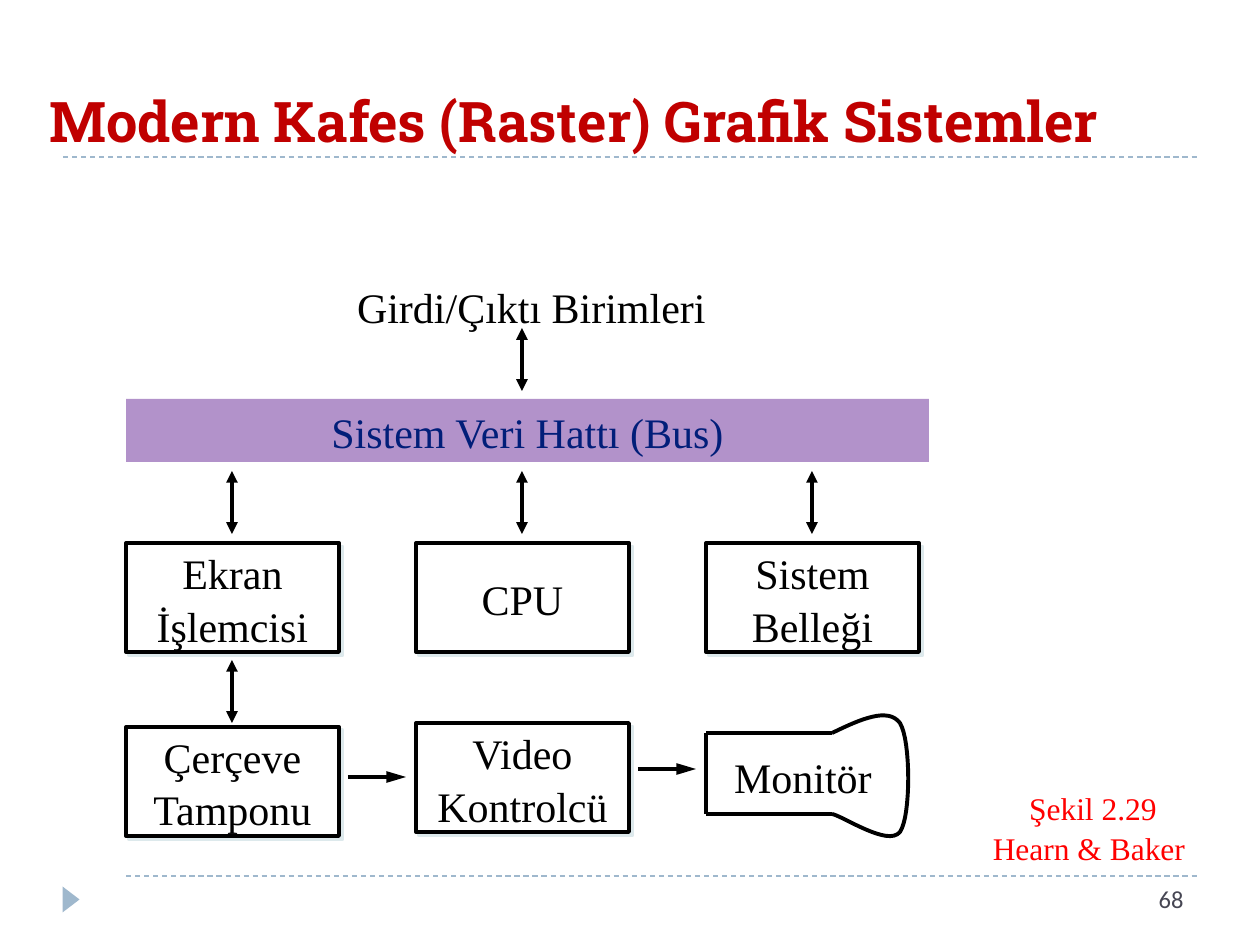
import lxml.etree
import pptx
import pptx.dml.color
import pptx.enum.dml
import pptx.enum.shapes
import pptx.enum.text
import pptx.oxml.ns
import pptx.util

PX = 914400 / 126
SERIF = "Times New Roman"
BLACK, WHITE, RULE = "000000", "FFFFFF", "9FB8CD"
SHAPE = pptx.enum.shapes.MSO_SHAPE
ALIGN = pptx.enum.text.PP_ALIGN
ANCHOR = pptx.enum.text.MSO_ANCHOR

TITLE = "Modern Kafes (Raster) Grafik Sistemler"
BOX_W, BOX_H = 213, 109
COLUMNS = [126 + 290 * i for i in range(3)]
CENTERS = [x + BOX_W // 2 for x in COLUMNS]
BOXES = [  # column, top, text
    (0, 543, "Ekran\nİşlemcisi"),
    (1, 543, "CPU"),
    (2, 543, "Sistem\nBelleği"),
    (0, 727, "Çerçeve\nTamponu"),
    (1, 723, "Video\nKontrolcü"),
]
TWO_WAY = [(1, 328), (0, 471), (1, 471), (2, 471), (0, 660)]  # column, top
ONE_WAY = [(0, 777), (1, 769)]  # column on the left, height on the slide
ARROW_H, ARROW_W, ARROW_GAP = 63, 58, 9
NECK_X, NECK_TOP, NECK_BOTTOM = 832, 733, 814
TUBE = [  # cubic curves of the monitor's screen end
    ((NECK_X, NECK_TOP), (861, 719), (888, 707), (900, 723)),
    ((900, 723), (911, 741), (911, 816), (900, 832)),
    ((900, 832), (888, 847), (843, 816), (NECK_X, NECK_BOTTOM)),
]


def emu(*values):
    return [round(v * PX) for v in values]


def rgb(color):
    return pptx.dml.color.RGBColor.from_string(color)


def sub(parent, tag, **attrs):
    return lxml.etree.SubElement(parent, pptx.oxml.ns.qn(tag), attrs)


def add_shape(s, kind, box, fill, line=None):
    sp = s.shapes.add_shape(kind, *emu(*box))
    sp.shadow.inherit = False
    sp.fill.solid()
    sp.fill.fore_color.rgb = rgb(fill)
    if line:
        sp.line.color.rgb = rgb(line)
        sp.line.width = pptx.util.Pt(2.25)
    else:
        sp.line.fill.background()
    return sp


def add_drop_shadow(sp):
    effects = sp._element.spPr.find(pptx.oxml.ns.qn("a:effectLst"))
    shadow = sub(effects, "a:outerShdw", dist="35560", dir="2700000", algn="ctr", rotWithShape="0")
    sub(shadow, "a:srgbClr", val="DDE9EC")


def set_text(sp, text, size, color, font=SERIF, align=ALIGN.CENTER,
             anchor=ANCHOR.MIDDLE, bold=False, wrap=False, spacing=1.05):
    tf = sp.text_frame
    tf.text = text
    tf.word_wrap = wrap
    tf.vertical_anchor = anchor
    for p in tf.paragraphs:
        p.alignment = align
        p.line_spacing = spacing
        for r in p.runs:
            r.font.size = pptx.util.Pt(size)
            r.font.name = font
            r.font.bold = bold
            r.font.color.rgb = rgb(color)


def add_label(s, box, text, size, color, **style):
    set_text(s.shapes.add_textbox(*emu(*box)), text, size, color, **style)


def add_line(s, start, end, color=BLACK, width=2.25, dashed=False, heads=(), length="med"):
    c = s.shapes.add_connector(pptx.enum.shapes.MSO_CONNECTOR.STRAIGHT, *emu(*start, *end))
    c.line.color.rgb = rgb(color)
    c.line.width = pptx.util.Pt(width)
    if dashed:
        c.line.dash_style = pptx.enum.dml.MSO_LINE.DASH
    for head in heads:
        sub(c.line._get_or_add_ln(), head, type="triangle", w="med", len=length)
    sub(c._element.spPr, "a:effectLst")


def curve_points(curve, steps=16):
    """Points along a cubic Bezier curve, without its start."""
    for i in range(1, steps + 1):
        t = i / steps
        weights = ((1 - t) ** 3, 3 * t * (1 - t) ** 2, 3 * t * t * (1 - t), t ** 3)
        yield tuple(sum(w * p[axis] for w, p in zip(weights, curve)) for axis in (0, 1))


def add_monitor(s):
    builder = s.shapes.build_freeform(*emu(*TUBE[0][0]), scale=1.0)
    builder.add_line_segments([emu(*pt) for curve in TUBE for pt in curve_points(curve)], close=False)
    sp = builder.convert_to_shape()
    sp.shadow.inherit = False
    sp.fill.background()
    sp.line.color.rgb = rgb(BLACK)
    sp.line.width = pptx.util.Pt(2.25)
    left = COLUMNS[2]
    for y in (NECK_TOP, NECK_BOTTOM):
        add_line(s, (NECK_X, y), (left, y))
    add_line(s, (left, NECK_BOTTOM), (left, NECK_TOP))
    add_label(s, (721, 743, 164, 63), "Monitör", 24, BLACK, anchor=ANCHOR.TOP)


def main():
    prs = pptx.Presentation()
    prs.slide_width, prs.slide_height = emu(1260, 945)
    s = prs.slides.add_slide(prs.slide_layouts[6])

    for y in (876, 157):
        add_line(s, (63, y), (1197, y), RULE, 0.75, dashed=True)
    add_shape(s, SHAPE.RECTANGLE, (44, 859, 79, 79), WHITE)
    add_shape(s, SHAPE.ISOSCELES_TRIANGLE, (58, 891, 26, 17), RULE).rotation = 90
    add_label(s, (37, 42, 1183, 157), TITLE, 32, "C00000", font="Roboto Slab",
              align=ALIGN.LEFT, bold=True, wrap=True, spacing=1.0)

    for column, top, text in BOXES:
        sp = add_shape(s, SHAPE.RECTANGLE, (COLUMNS[column], top, BOX_W, BOX_H), WHITE, BLACK)
        add_drop_shadow(sp)
        set_text(sp, text, 24, BLACK)
    add_monitor(s)

    bus = add_shape(s, SHAPE.RECTANGLE, (126, 399, 803, 63), "B292CA")
    set_text(bus, "Sistem Veri Hattı (Bus)", 24, "011E79")
    add_label(s, (343, 273, 377, 64), "Girdi/Çıktı Birimleri", 24, BLACK, anchor=ANCHOR.TOP)

    for column, top in TWO_WAY:
        x = CENTERS[column]
        add_line(s, (x, top + ARROW_H), (x, top), heads=("a:headEnd", "a:tailEnd"))
    for column, y in ONE_WAY:
        x = COLUMNS[column] + BOX_W + ARROW_GAP
        add_line(s, (x, y), (x + ARROW_W, y), heads=("a:tailEnd",), length="lg")

    add_label(s, (979, 781, 228, 89), "Şekil 2.29\nHearn & Baker ", 18, "FF0000", anchor=ANCHOR.TOP)
    number = add_shape(s, SHAPE.RECTANGLE, (901, 878, 295, 50), WHITE)
    set_text(number, "68", 14, "464653", font="Calibri", align=ALIGN.RIGHT,
             anchor=ANCHOR.TOP, wrap=True, spacing=1.0)
    prs.save("out.pptx")


if __name__ == "__main__":
    main()
